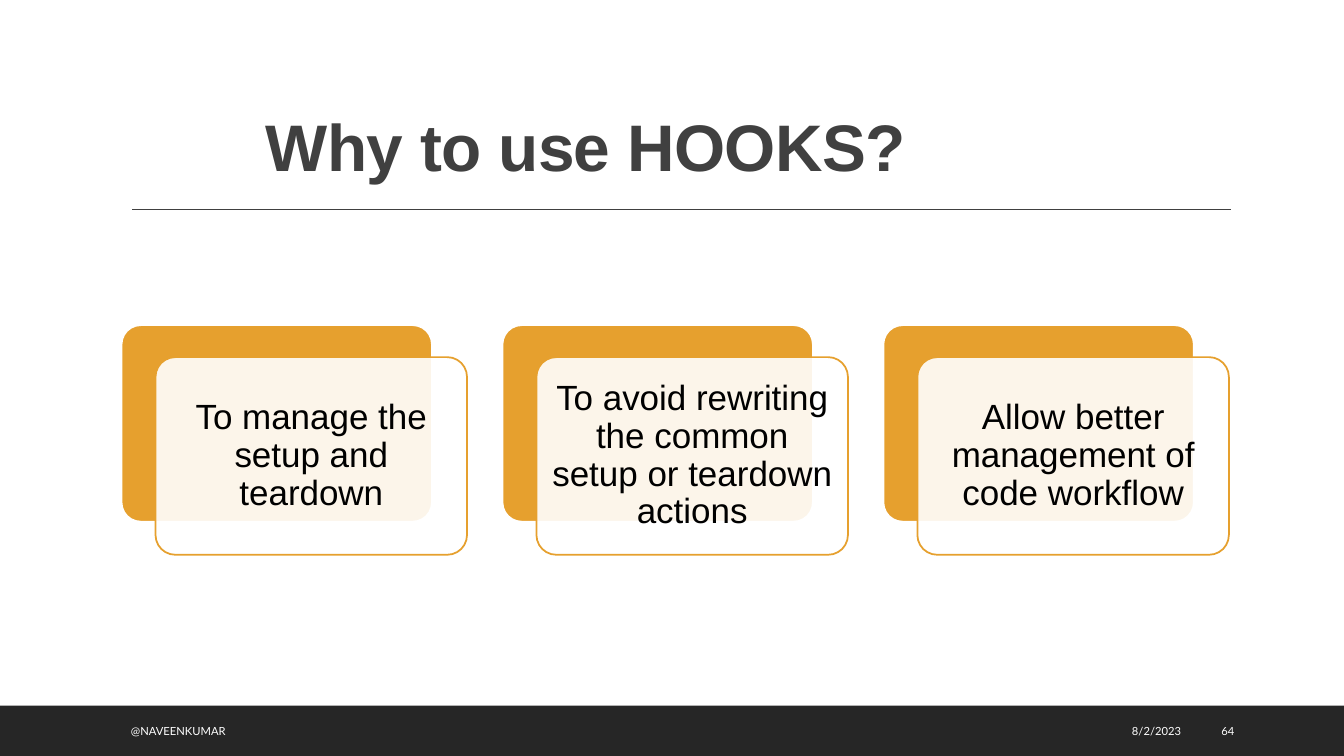
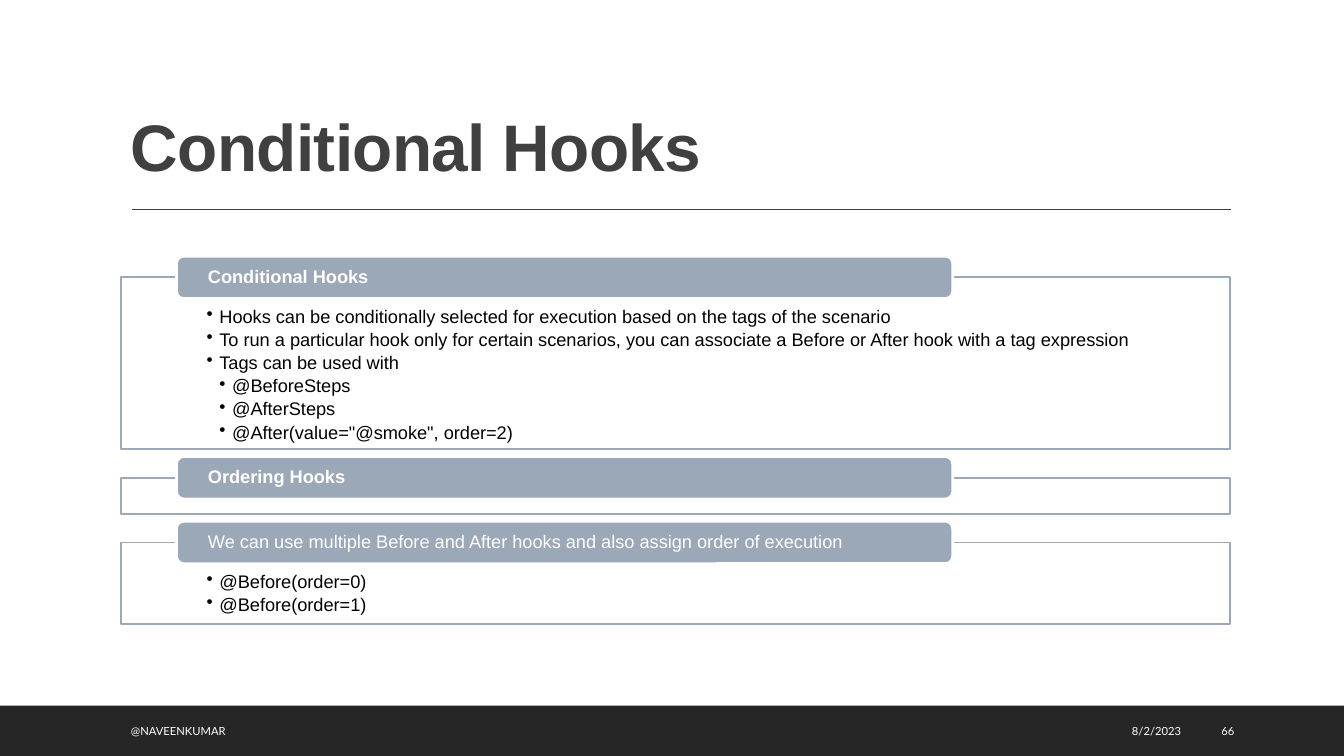
from lxml.etree import SubElement
from pptx import Presentation
from pptx.dml.color import RGBColor
from pptx.enum.shapes import MSO_CONNECTOR, MSO_SHAPE
from pptx.enum.text import MSO_ANCHOR, PP_ALIGN
from pptx.oxml.ns import qn
from pptx.util import Cm, Pt

# Content
HOOKS_TITLE = "Why to use HOOKS?"
REASONS = [
    "To manage the setup and teardown",
    "To avoid rewriting the common setup or teardown actions",
    "Allow better management of code workflow",
]
CONDITIONAL_TITLE = "Conditional Hooks"
# Each section: heading, bold heading, bullets as (level, text)
SECTIONS = [
    ("Conditional Hooks", True, [
        (0, "Hooks can be conditionally selected for execution based on the tags of the scenario"),
        (0, "To run a particular hook only for certain scenarios, you can associate "
            "a Before or After hook with a tag expression"),
        (0, "Tags can be used with"),
        (1, "@BeforeSteps"),
        (1, "@AfterSteps"),
        (1, '@After(value="@smoke", order=2)'),
    ]),
    ("Ordering Hooks", True, []),
    ("We can use multiple Before and After hooks and also assign order of execution", False, [
        (0, "@Before(order=0)"),
        (0, "@Before(order=1)"),
    ]),
]
AUTHOR, DATE = "@NAVEENKUMAR", "8/2/2023"

# Shared style
COLORS = {
    "white": "FFFFFF", "black": "000000", "band": "262626",
    "title": "404040", "orange": "E6A02E", "steel": "9BA8B7",
}
BODY_FONT, FOOTER_FONT = "Arial", "Lato"
SLIDE_W, SLIDE_H = 33.87, 19.05
LEFT, CONTENT_W = 3.05, 27.94
BAND_H = 1.27


def rgb(name):
    return RGBColor.from_string(COLORS[name])


def style_text(p, size, color, bold=False, font=BODY_FONT):
    for r in p.runs:
        r.font.name, r.font.size, r.font.bold = font, Pt(size), bold
        r.font.color.rgb = rgb(color)


def set_frame(tf, anchor, insets=(0.25, 0.13, 0.25, 0.13)):
    tf.word_wrap = True
    tf.vertical_anchor = anchor
    tf.margin_left, tf.margin_top, tf.margin_right, tf.margin_bottom = map(Cm, insets)


def add_box(s, kind, x, y, w, h, fill, line=None, width=1.25, opacity=None):
    sp = s.shapes.add_shape(kind, Cm(x), Cm(y), Cm(w), Cm(h))
    sp.shadow.inherit = False
    sp.fill.solid()
    sp.fill.fore_color.rgb = rgb(fill)
    if opacity:
        color = sp.fill._xPr.find(".//" + qn("a:srgbClr"))
        SubElement(color, qn("a:alpha"), val=str(opacity * 1000))
    if line:
        sp.line.color.rgb = rgb(line)
        sp.line.width = Pt(width)
    else:
        sp.line.fill.background()
    return sp


def add_label(s, text, x, y, w, h, anchor=MSO_ANCHOR.MIDDLE):
    tf = s.shapes.add_textbox(Cm(x), Cm(y), Cm(w), Cm(h)).text_frame
    set_frame(tf, anchor)
    tf.text = text
    return tf.paragraphs[0]


def add_base_slide(prs, title, number, title_x=LEFT):
    s = prs.slides.add_slide(prs.slide_layouts[6])

    # Bottom band and title rule
    band_y = SLIDE_H - BAND_H
    add_box(s, MSO_SHAPE.RECTANGLE, 0, band_y, SLIDE_W, BAND_H, "band")
    rule = s.shapes.add_connector(MSO_CONNECTOR.STRAIGHT, Cm(3.33), Cm(5.28), Cm(31.01), Cm(5.28))
    rule.line.color.rgb = rgb("title")
    rule.line.width = Pt(1)
    SubElement(rule._element.spPr, qn("a:effectLst"))

    # Title
    p = add_label(s, title, title_x, 0.76, LEFT + CONTENT_W - title_x, 4.04, MSO_ANCHOR.BOTTOM)
    p.line_spacing = 0.9
    style_text(p, 47, "title", bold=True)
    p.runs[0].font._element.set("spc", "-50")

    # Footer
    for text, x, w, align in [
        (AUTHOR, LEFT, 18.95, PP_ALIGN.LEFT),
        (DATE, 22.83, 7.19, PP_ALIGN.RIGHT),
        (str(number), 30.53, 2.16, PP_ALIGN.LEFT),
    ]:
        p = add_label(s, text, x, band_y + 0.13, w, BAND_H - 0.25)
        p.alignment = align
        style_text(p, 8, "white", font=FOOTER_FONT)
    return s


def add_reason_cards(s):
    top, w, h, pitch = 8.18, 7.85, 4.98, 9.6
    shift_x, shift_y = 0.87, 0.82
    for i, reason in enumerate(REASONS):
        x = LEFT + i * pitch
        back = add_box(s, MSO_SHAPE.ROUNDED_RECTANGLE, x, top, w, h, "orange", "white", 2)
        front = add_box(s, MSO_SHAPE.ROUNDED_RECTANGLE, x + shift_x, top + shift_y, w, h,
                        "white", "orange", opacity=90)
        for card in (back, front):
            card.adjustments[0] = 0.1
        tf = front.text_frame
        set_frame(tf, MSO_ANCHOR.MIDDLE, (0.25,) * 4)
        tf.text = reason
        p = tf.paragraphs[0]
        p.alignment, p.line_spacing = PP_ALIGN.CENTER, 0.9
        style_text(p, 25, "black")


def add_bullets(tf, bullets):
    indent = 0.32
    set_frame(tf, MSO_ANCHOR.TOP, (2.16, 0.76, 2.16, 0.25))
    for i, (level, text) in enumerate(bullets):
        p = tf.add_paragraph() if i else tf.paragraphs[0]
        p.text = text
        p.level = level
        pPr = p._p.get_or_add_pPr()
        pPr.set("marL", str(Cm(indent * (level + 1))))
        pPr.set("indent", str(-Cm(indent)))
        SubElement(pPr, qn("a:buChar"), char="•")
        p.alignment, p.line_spacing, p.space_after = PP_ALIGN.LEFT, 0.9, Pt(2.5)
        style_text(p, 13, "black")


def add_sections(s):
    y, gap = 6.99, 0.72
    empty_h, bullet_h = 0.91, 0.57
    tab_h = 1.07
    for heading, bold, bullets in SECTIONS:
        h = empty_h + bullet_h * len(bullets)
        panel = add_box(s, MSO_SHAPE.RECTANGLE, LEFT, y, CONTENT_W, h,
                        "white", "steel", opacity=90)
        add_bullets(panel.text_frame, bullets)

        # Heading tab centred on the panel's top edge
        tab = add_box(s, MSO_SHAPE.ROUNDED_RECTANGLE, LEFT + 1.4, y - tab_h / 2, 19.56, tab_h,
                      "steel", "white", 2)
        tf = tab.text_frame
        set_frame(tf, MSO_ANCHOR.MIDDLE, (0.74, 0, 0.74, 0))
        tf.text = heading
        p = tf.paragraphs[0]
        p.alignment, p.line_spacing = PP_ALIGN.LEFT, 0.9
        style_text(p, 13, "white", bold)
        y += h + gap


def main():
    prs = Presentation()
    prs.slide_width, prs.slide_height = Cm(SLIDE_W), Cm(SLIDE_H)
    add_reason_cards(add_base_slide(prs, HOOKS_TITLE, 64, title_x=6.45))
    add_sections(add_base_slide(prs, CONDITIONAL_TITLE, 66))
    prs.save("out.pptx")


if __name__ == "__main__":
    main()
